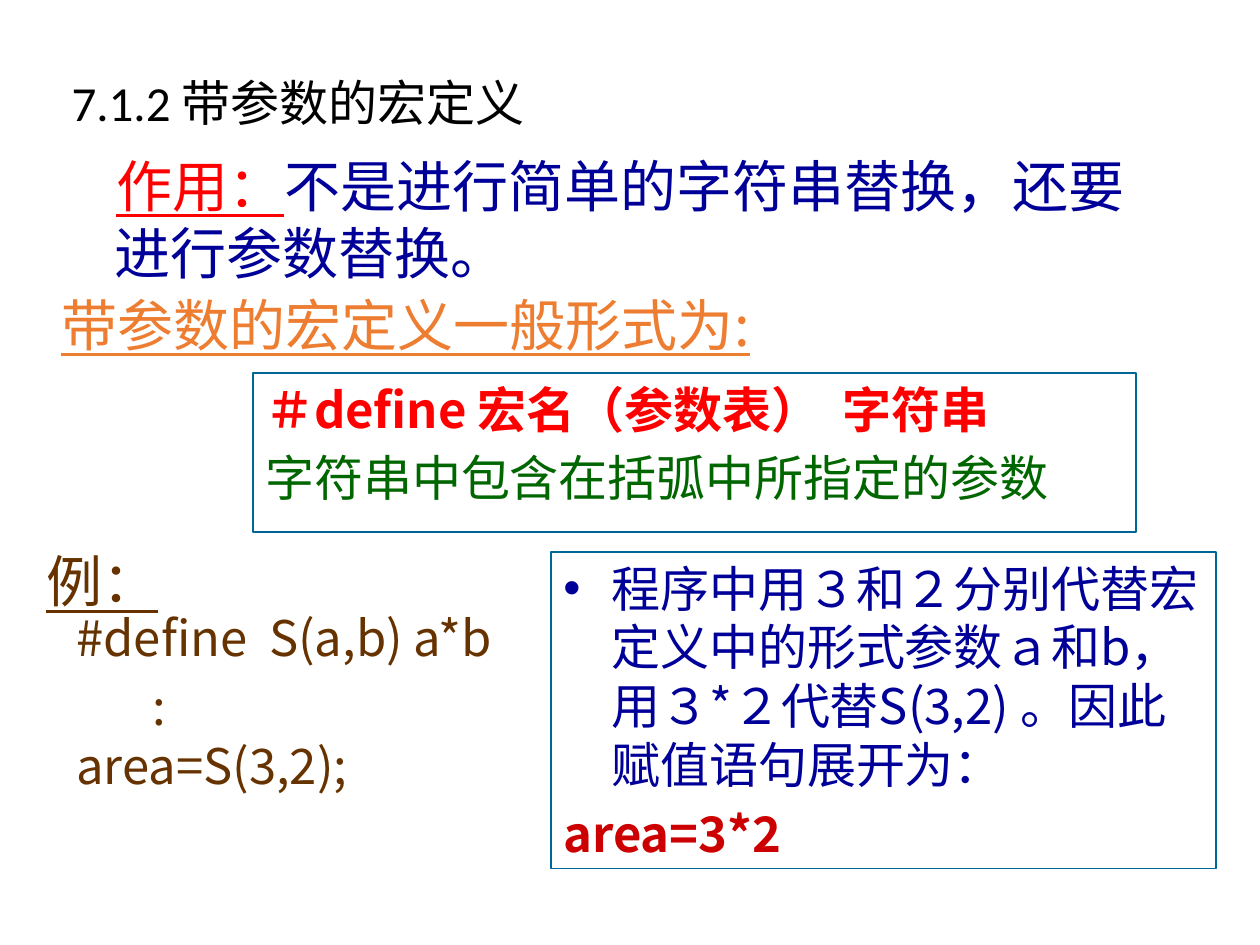
from pptx import Presentation
from pptx import util as u
from pptx.dml.color import RGBColor
from pptx.enum import shapes, text
from pptx.oxml.ns import qn

PX = u.Inches(1) // 126
COLORS = {"black": "000000", "navy": "000099", "red": "FF0000", "orange": "ED7D31",
          "green": "006600", "brown": "663300", "crimson": "CC0000", "border": "006699"}
SANS = "Noto Sans CJK SC"


def add_box(left, top, width, height, bordered=False):
    area = [n * PX for n in (left, top, width, height)]
    if bordered:
        box = slide.shapes.add_shape(shapes.MSO_SHAPE.RECTANGLE, *area)
        box.shadow.inherit = False
        box.fill.background()
        box.line.color.rgb = RGBColor.from_string(COLORS["border"])
        box.line.width = u.Pt(0.75)
    else:
        box = slide.shapes.add_textbox(*area)
    box.text_frame.word_wrap = True
    box.text_frame.vertical_anchor = text.MSO_ANCHOR.TOP
    return box.text_frame


def write(paragraph, runs, size, margin=0, indent=0, before=0, spacing=None, font=SANS):
    """Runs are (words, colour, style); style may hold b (bold) and u (underline)."""
    paragraph.alignment = text.PP_ALIGN.LEFT
    paragraph.space_before = u.Pt(before)
    paragraph.line_spacing = spacing
    props = paragraph._p.get_or_add_pPr()
    props.set("marL", str(margin * PX))
    props.set("indent", str(indent * PX))
    for words, color, style in runs:
        run = paragraph.add_run()
        run.text = words
        run.font.size = u.Pt(size)
        run.font.name = font
        run.font.bold = "b" in style
        run.font.underline = "u" in style
        run.font.color.rgb = RGBColor.from_string(COLORS[color])
        if font != "Calibri":
            east_asian = run._r.rPr.makeelement(qn("a:ea"), {"typeface": font})
            run._r.rPr.find(qn("a:latin")).addnext(east_asian)


deck = Presentation()
deck.slide_width, deck.slide_height = 1260 * PX, 945 * PX
slide = deck.slides.add_slide(deck.slide_layouts[5])

# Title
title = slide.shapes.title
title.left, title.top, title.width, title.height = [n * PX for n in (44, 55, 1166, 102)]
title.text_frame.vertical_anchor = text.MSO_ANCHOR.MIDDLE
write(title.text_frame.paragraphs[0], [("7.1.2 带参数的宏定义", "black", "")], 28,
      indent=15, spacing=0.9, font="Calibri")

# Purpose
purpose = add_box(54, 145, 1101, 129)
write(purpose.paragraphs[0], [("作用：", "red", "u"),
                              ("不是进行简单的字符串替换，还要进行参数替换。", "navy", "")],
      32, margin=48, indent=2, before=6.4)

# General form
form = add_box(25, 284, 1012, 79)
write(form.paragraphs[0], [("带参数的宏定义一般形式为:", "orange", "u")], 32,
      indent=24, before=6.4)

syntax = add_box(253, 373, 883, 159, bordered=True)
write(syntax.paragraphs[0], [("＃define 宏名（参数表）  字符串", "red", "b")], 28, before=5.6)
write(syntax.add_paragraph(), [("字符串中包含在括弧中所指定的参数", "green", "")], 28, before=5.6)

# Example code
code = add_box(64, 601, 525, 228)
write(code.paragraphs[0], [("#define  S(a,b) a*b", "brown", "")], 28)
write(code.add_paragraph(), [(":", "brown", "")], 28, indent=76, before=6)
write(code.add_paragraph(), [("area=S(3,2);", "brown", "")], 28)

# Explanation
explanation = add_box(551, 552, 665, 317, bordered=True)
reason = explanation.paragraphs[0]
write(reason, [("程序中用３和２分别代替宏定义中的形式参数ａ和b，"
                "用３*２代替S(3,2) 。因此赋值语句展开为：", "navy", "")],
      28, margin=48, indent=-48, before=5.6)
props = reason._p.pPr
for tag, name, value in (("a:buFont", "typeface", "Arial"), ("a:buChar", "char", "•")):
    props.append(props.makeelement(qn(tag), {name: value}))
write(explanation.add_paragraph(), [("area=3*2", "crimson", "b")], 28, before=5.6)

# Example label
label = add_box(34, 512, 139, 110)
label.word_wrap = False
label.auto_size = text.MSO_AUTO_SIZE.SHAPE_TO_FIT_TEXT
label.margin_top = u.Inches(0.17)
write(label.paragraphs[0], [("例：", "brown", "u")], 32, before=1.6, spacing=1.2,
      font="Noto Sans CJK JP")

deck.save("out.pptx")
